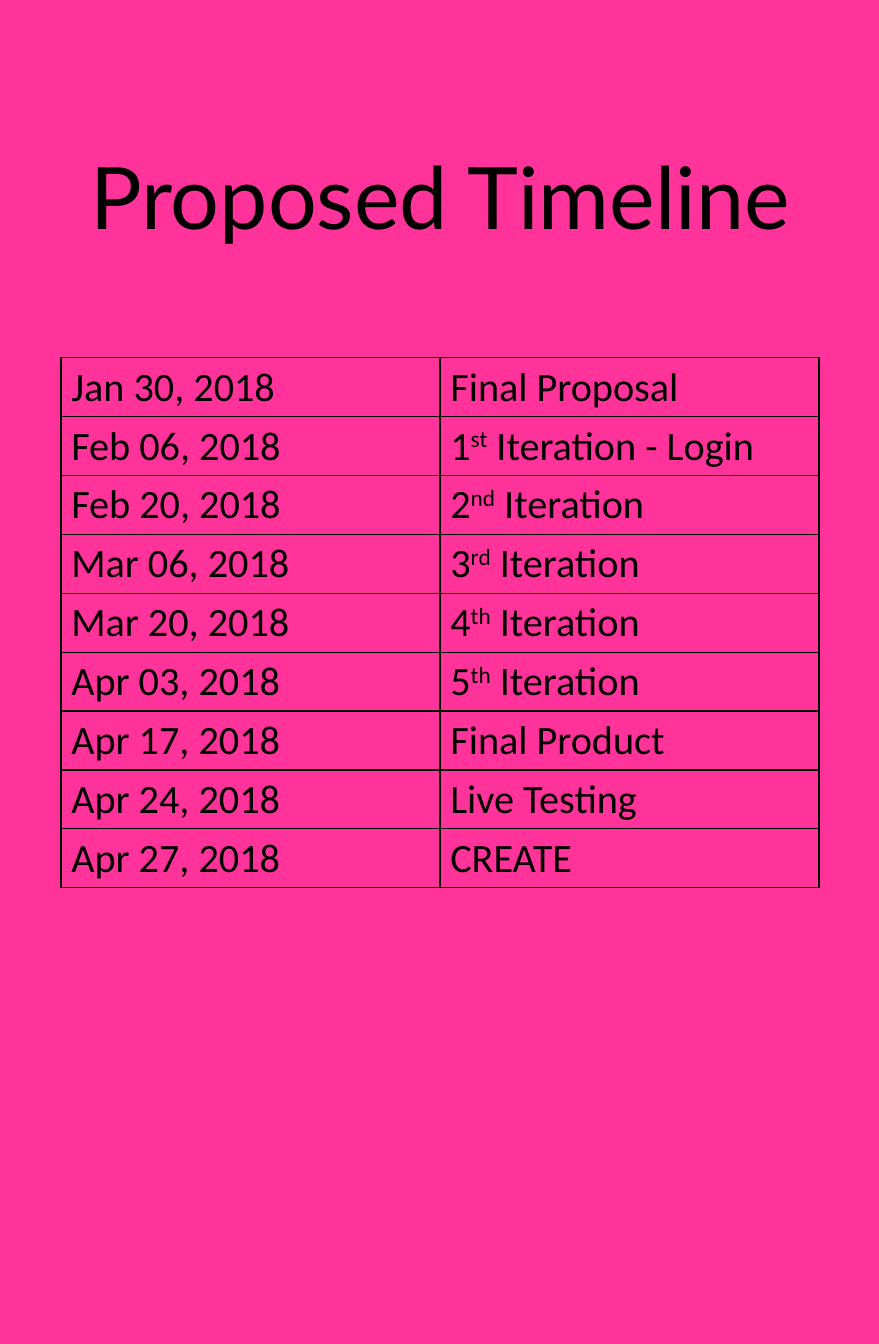
import pptx
import pptx.dml.color
import pptx.enum.text
import pptx.oxml
import pptx.oxml.ns
import pptx.util

WIDTH, HEIGHT = 8.5, 13
PINK, BLACK = "FF3399", "000000"
MILESTONES = [
    ("Jan 30, 2018", ["Final Proposal"]),
    ("Feb 06, 2018", ["1", "st", " Iteration - Login"]),
    ("Feb 20, 2018", ["2", "nd", " Iteration"]),
    ("Mar 06, 2018", ["3", "rd", " Iteration"]),
    ("Mar 20, 2018", ["4", "th", " Iteration"]),
    ("Apr 03, 2018", ["5", "th", " Iteration"]),
    ("Apr 17, 2018", ["Final Product"]),
    ("Apr 24, 2018", ["Live Testing"]),
    ("Apr 27, 2018", ["CREATE"]),
]


def color(value):
    return pptx.dml.color.RGBColor.from_string(value)


def inches(*values):
    return [pptx.util.Inches(value) for value in values]


def apply(target, values):
    for name, value in values.items():
        setattr(target, name, value)


def add_span(para, text, font, size):
    span = para.add_run()
    span.text = text
    apply(span.font, {"name": font, "size": pptx.util.Pt(size), "bold": False})
    span.font.color.rgb = color(BLACK)
    return span


def add_title(page, text):
    box = page.shapes.add_textbox(*inches(0.23, 0.69, 8.05, 2.51))
    apply(box.text_frame, {
        "word_wrap": True,
        "vertical_anchor": pptx.enum.text.MSO_ANCHOR.MIDDLE,
    })
    para = box.text_frame.paragraphs[0]
    apply(para, {"alignment": pptx.enum.text.PP_ALIGN.CENTER, "line_spacing": 0.9})
    add_span(para, text, "Lato", 60)


def add_borders(cell):
    properties = cell._tc.get_or_add_tcPr()
    for side in ("lnL", "lnR", "lnT", "lnB"):
        properties.append(pptx.oxml.parse_xml(
            f'<a:{side} {pptx.oxml.ns.nsdecls("a")} w="{pptx.util.Pt(1)}">'
            f'<a:solidFill><a:srgbClr val="{BLACK}"/></a:solidFill></a:{side}>'
        ))


def fill_cell(cell, parts):
    add_borders(cell)
    cell.fill.background()
    para = cell.text_frame.paragraphs[0]
    for index, text in enumerate(parts):
        span = add_span(para, text, "Calibri", 28)
        if index == 1:
            span.font._element.set("baseline", "30000")


def add_timeline(page, milestones):
    frame = page.shapes.add_table(
        len(milestones), 2, *inches(0.59, 3.46, 7.33, 0.57 * len(milestones))
    )
    table = frame.table
    apply(table, {"first_row": False, "horz_banding": False})
    for row, (date, event) in enumerate(milestones):
        fill_cell(table.cell(row, 0), [date])
        fill_cell(table.cell(row, 1), event)


def main():
    deck = pptx.Presentation()
    deck.slide_width, deck.slide_height = inches(WIDTH, HEIGHT)
    page = deck.slides.add_slide(deck.slide_layouts[6])
    page.background.fill.solid()
    page.background.fill.fore_color.rgb = color(PINK)
    add_title(page, "Proposed Timeline")
    add_timeline(page, MILESTONES)
    deck.save("out.pptx")


if __name__ == "__main__":
    main()
